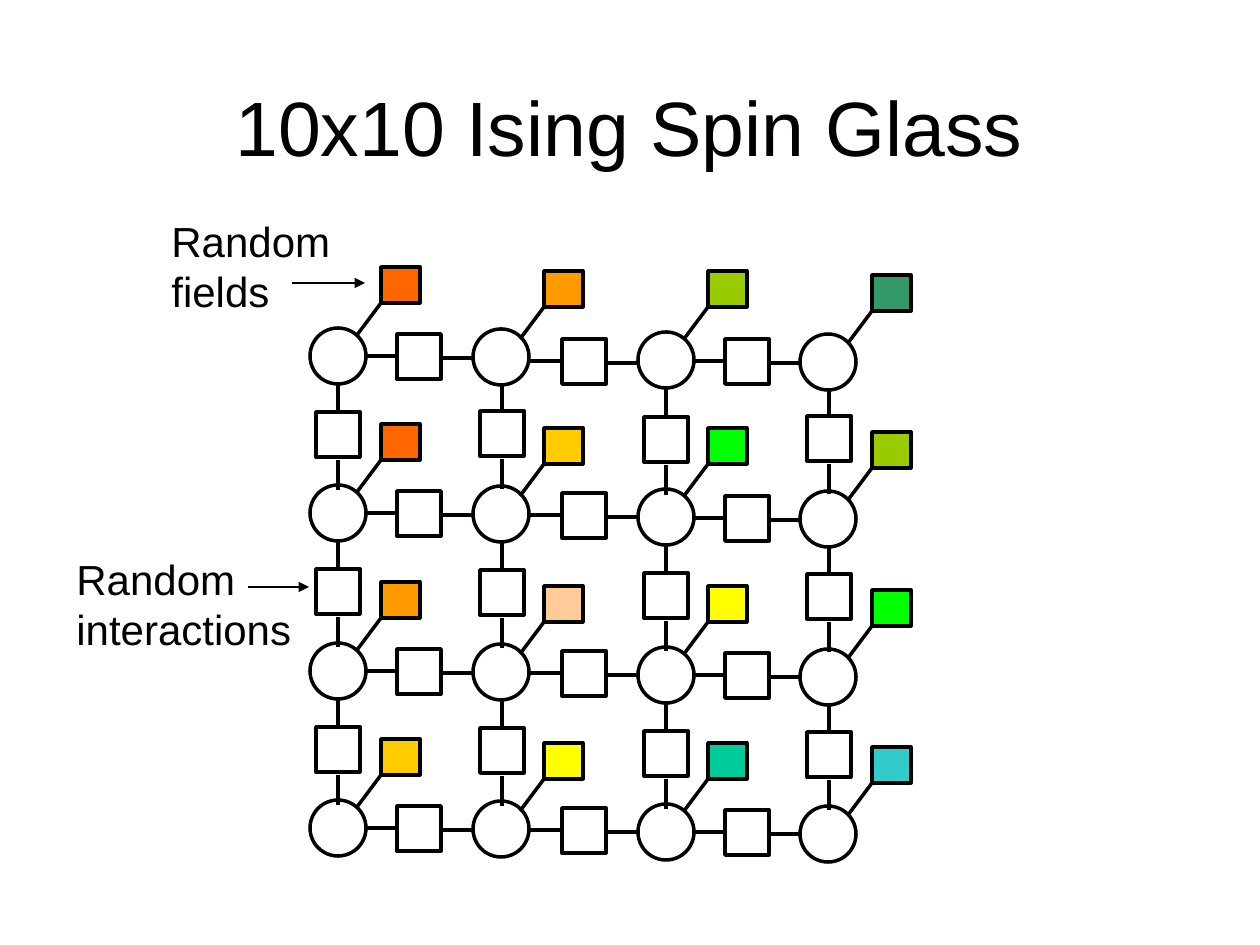
from dataclasses import dataclass
from lxml import etree
from pptx import Presentation
from pptx import util as u
from pptx.dml.color import RGBColor
from pptx.enum import shapes, text
from pptx.oxml import ns

PX = 914400 / 126


@dataclass(frozen=True)
class Theme:
    ink: str = "000000"
    font: str = "Arial"
    title_size: int = 44
    label_size: int = 24
    label_space: int = 15
    edge: float = 2
    pointer: float = 0.75
    fields: tuple = (
        ("FF6600", "FF9900", "99CC00", "339966"),
        ("FF6600", "FFCC00", "00FF00", "99CC00"),
        ("FF9900", "FFCC99", "FFFF00", "00FF00"),
        ("FFCC00", "FFFF00", "00CC99", "33CCCC"),
    )


THEME = Theme()
ROW_OFFSETS = (0, 157, 315, 472)
SPINS = ((310, 328), (473, 329), (638, 332), (800, 334))
FIELDS = ((381, 267), (544, 271), (708, 271), (872, 275))
SPIN_SIZE = (56, 56)
FIELD_SIZE = (39, 36)
COUPLER_SIZE = (44, 45)
ROW_COUPLERS = {
    397: (334, 491, 649, 806),
    562: (339, 493, 651, 808),
    725: (339, 496, 653, 810),
}
COLUMN_COUPLERS = {
    316: (412, 569, 727),
    480: (411, 570, 728),
    644: (417, 573, 731),
    807: (416, 574, 732),
}


def emu(*lengths):
    return [u.Emu(round(length * PX)) for length in lengths]


def color(value):
    return RGBColor.from_string(value)


def add_node(slide, kind, position, size, fill=None):
    shape = slide.shapes.add_shape(kind, *emu(*position, *size))
    shape.shadow.inherit = False
    if fill:
        shape.fill.solid()
        shape.fill.fore_color.rgb = color(fill)
    else:
        shape.fill.background()
    shape.line.color.rgb = color(THEME.ink)
    shape.line.width = u.Pt(THEME.edge)


def add_line(slide, start, end, width=THEME.edge):
    connector = slide.shapes.add_connector(
        shapes.MSO_CONNECTOR.STRAIGHT, *emu(*start, *end))
    connector.line.color.rgb = color(THEME.ink)
    connector.line.width = u.Pt(width)
    etree.SubElement(connector._element.spPr, ns.qn("a:effectLst"))
    return connector


def add_arrow(slide, start, end):
    connector = add_line(slide, start, end, THEME.pointer)
    etree.SubElement(connector.line._get_or_add_ln(), ns.qn("a:tailEnd"), type="triangle")


def add_text(slide, wording, position, size, points):
    box = slide.shapes.add_textbox(*emu(*position, *size))
    frame = box.text_frame
    frame.word_wrap = True
    frame.text = wording
    paragraph = frame.paragraphs[0]
    font = paragraph.runs[0].font
    font.name = THEME.font
    font.size = u.Pt(points)
    font.color.rgb = color(THEME.ink)
    return frame


def add_title(slide, wording, position, size):
    frame = add_text(slide, wording, position, size, THEME.title_size)
    frame.vertical_anchor = text.MSO_ANCHOR.MIDDLE
    frame.paragraphs[0].alignment = text.PP_ALIGN.CENTER


def add_label(slide, wording, position, size):
    frame = add_text(slide, wording, position, size, THEME.label_size)
    frame.paragraphs[0].space_before = u.Pt(THEME.label_space)


def add_spin_with_field(slide, spin, field, offset, fill):
    spin_x, spin_y = spin
    field_x, field_y = field[0], field[1] + offset
    stem_y = field_y + FIELD_SIZE[1]
    add_node(slide, shapes.MSO_SHAPE.OVAL, (spin_x, spin_y + offset), SPIN_SIZE)
    add_line(slide, (field_x - 24, stem_y + 32), (field_x, stem_y))
    add_node(slide, shapes.MSO_SHAPE.RECTANGLE, (field_x, field_y), FIELD_SIZE, fill)


def add_row_coupler(slide, x, y):
    add_node(slide, shapes.MSO_SHAPE.RECTANGLE, (x, y), COUPLER_SIZE)
    add_line(slide, (x - 32, y + 22), (x - 1, y + 22))
    add_line(slide, (x + 44, y + 24), (x + 75, y + 24))


def add_column_coupler(slide, x, y):
    add_node(slide, shapes.MSO_SHAPE.RECTANGLE, (x, y), COUPLER_SIZE)
    add_line(slide, (x + 22, y - 28), (x + 22, y + 1))
    add_line(slide, (x + 22, y + 48), (x + 22, y + 78))


def add_lattice(slide):
    for offset, fills in zip(ROW_OFFSETS, THEME.fields):
        for spin, field, fill in zip(SPINS, FIELDS, fills):
            add_spin_with_field(slide, spin, field, offset, fill)
    for couplers, add_coupler in ((ROW_COUPLERS, add_row_coupler),
                                  (COLUMN_COUPLERS, add_column_coupler)):
        for x, tops in couplers.items():
            for y in tops:
                add_coupler(slide, x, y)


def main():
    presentation = Presentation()
    presentation.slide_width, presentation.slide_height = emu(1260, 945)
    slide = presentation.slides.add_slide(presentation.slide_layouts[6])
    add_title(slide, "10x10 Ising Spin Glass", (94, 47), (1071, 157))
    add_lattice(slide)
    add_label(slide, "Random interactions", (64, 547), (243, 113))
    add_arrow(slide, (248, 587), (309, 587))
    add_label(slide, "Random fields", (159, 209), (209, 113))
    add_arrow(slide, (292, 283), (365, 283))
    presentation.save("out.pptx")


if __name__ == "__main__":
    main()
